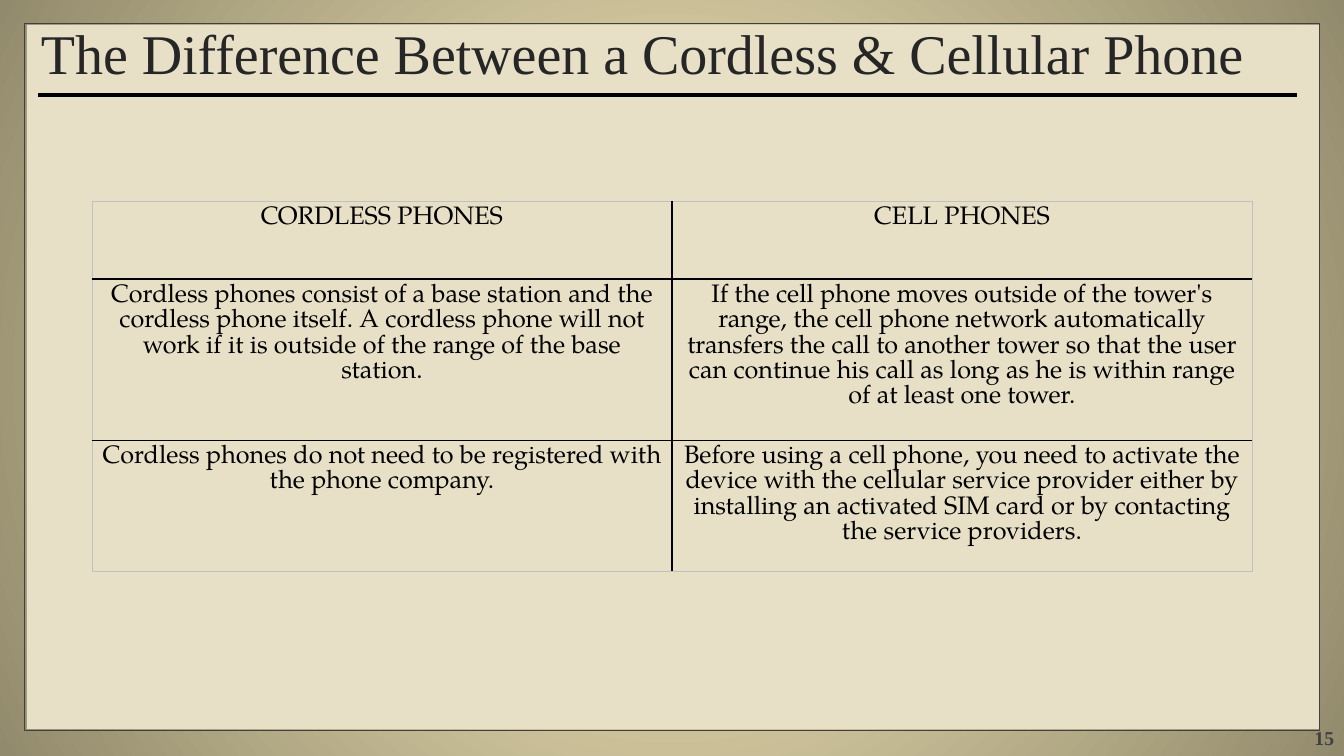
from lxml.etree import SubElement
from pptx import Presentation
from pptx.dml.color import RGBColor
from pptx.enum.shapes import MSO_CONNECTOR, MSO_SHAPE
from pptx.enum.text import MSO_ANCHOR, PP_ALIGN
from pptx.oxml.ns import qn
from pptx.util import Emu, Pt

EMU_PER_PX = 914400 / 100.8
GLOW = RGBColor(0xFF, 0xF1, 0xC1)
OLIVE = RGBColor(0x92, 0x8A, 0x6C)
CREAM = RGBColor(0xE7, 0xE0, 0xC7)
CHARCOAL = RGBColor(0x40, 0x40, 0x40)
TITLE_INK = RGBColor(0x26, 0x26, 0x26)
BLACK = RGBColor(0, 0, 0)
GRID_GREY = RGBColor(0xC0, 0xC0, 0xC0)
HEADING_FONT = "Times New Roman"
TABLE_FONT = "TeX Gyre Pagella"

ROW_HEIGHTS = (78, 137, 111)
COMPARISON = (
    ("CORDLESS PHONES", "CELL PHONES"),
    (
        "Cordless phones consist of a base station and the cordless phone itself. "
        "A cordless phone will not work if it is outside of the range of the base station.",
        "If the cell phone moves outside of the tower's range, the cell phone network "
        "automatically transfers the call to another tower so that the user can continue "
        "his call as long as he is within range of at least one tower.",
    ),
    (
        "Cordless phones do not need to be registered with the phone company.",
        "Before using a cell phone, you need to activate the device with the cellular "
        "service provider either by installing an activated SIM card or by contacting "
        "the service providers.",
    ),
)


def px(length):
    return Emu(round(length * EMU_PER_PX))


def write(frame, wording, font_name, size, color, align, bold=False):
    frame.text = wording
    frame.word_wrap = True
    paragraph = frame.paragraphs[0]
    paragraph.alignment = align
    font = paragraph.runs[0].font
    font.name, font.size, font.bold = font_name, Pt(size), bold
    font.color.rgb = color
    return paragraph


def paint_background(slide):
    fill = slide.background.fill
    fill.gradient()
    for stop, color in zip(fill.gradient_stops, (GLOW, OLIVE)):
        stop.color.rgb = color
    gradient = slide.element.find(".//" + qn("a:gradFill"))
    gradient.remove(gradient.find(qn("a:lin")))
    circle = SubElement(gradient, qn("a:path"), path="circle")
    SubElement(circle, qn("a:fillToRect"), l="50000", t="50000", r="50000", b="50000")


def add_panel(slide, left, top, width, height):
    paper = slide.shapes.add_shape(
        MSO_SHAPE.RECTANGLE, px(left + 3), px(top + 2), px(width - 3), px(height - 3))
    paper.shadow.inherit = False
    paper.fill.solid()
    paper.fill.fore_color.rgb = CREAM
    paper.line.fill.background()
    border = slide.shapes.add_shape(
        MSO_SHAPE.RECTANGLE, px(left), px(top), px(width), px(height))
    border.shadow.inherit = False
    border.fill.background()
    border.line.color.rgb = CHARCOAL
    border.line.width = Pt(0.5)


def add_heading(slide, left, top, width, height):
    rule_y = top + height + 6
    rule = slide.shapes.add_connector(
        MSO_CONNECTOR.STRAIGHT, px(left + 7), px(rule_y), px(left + width + 7), px(rule_y))
    rule.line.color.rgb = BLACK
    rule.line.width = Pt(2.25)
    SubElement(rule.element.spPr, qn("a:effectLst"))
    title = slide.shapes.add_textbox(px(left), px(top), px(width), px(height))
    title.text_frame.vertical_anchor = MSO_ANCHOR.MIDDLE
    paragraph = write(title.text_frame, "The Difference Between a Cordless & Cellular Phone",
                      HEADING_FONT, 40, TITLE_INK, PP_ALIGN.LEFT)
    paragraph.line_spacing = 0.9


def add_border(cell, side, color, width):
    edge = SubElement(cell._tc.get_or_add_tcPr(), qn("a:" + side), w=str(Pt(width)))
    SubElement(SubElement(edge, qn("a:solidFill")), qn("a:srgbClr"), val=str(color))


def add_comparison(slide, left, top, width):
    row_count, column_count = len(COMPARISON), len(COMPARISON[0])
    table = slide.shapes.add_table(
        row_count, column_count, px(left), px(top), px(width), px(sum(ROW_HEIGHTS))).table
    table.first_row = table.horz_banding = False
    for column in table.columns:
        column.width = px(width / column_count)
    for r, (height, wordings) in enumerate(zip(ROW_HEIGHTS, COMPARISON)):
        table.rows[r].height = px(height)
        for c, wording in enumerate(wordings):
            cell = table.cell(r, c)
            write(cell.text_frame, wording, TABLE_FONT, 18, BLACK, PP_ALIGN.CENTER)
            outer_sides = {
                "lnL": c == 0, "lnR": c == column_count - 1,
                "lnT": r == 0, "lnB": r == row_count - 1,
            }
            for side, outer in outer_sides.items():
                inner_width = 1.5 if side in ("lnL", "lnR") else 1
                add_border(cell, side, GRID_GREY if outer else BLACK,
                           0.5 if outer else inner_width)
            cell.fill.background()


def add_page_number(slide, left, top, width, height):
    number = slide.shapes.add_textbox(px(left), px(top), px(width), px(height))
    number.text_frame.vertical_anchor = MSO_ANCHOR.BOTTOM
    write(number.text_frame, "15", HEADING_FONT, 14, CHARCOAL, PP_ALIGN.RIGHT, bold=True)


def main():
    presentation = Presentation()
    presentation.slide_width, presentation.slide_height = px(1344), px(756)
    slide = presentation.slides.add_slide(presentation.slide_layouts[6])
    paint_background(slide)
    add_panel(slide, 24, 23, 1295, 707)
    add_heading(slide, 31, 24, 1259, 65)
    add_comparison(slide, 92, 201, 1160)
    add_page_number(slide, 1183, 726, 161, 28)
    presentation.save("out.pptx")


if __name__ == "__main__":
    main()
